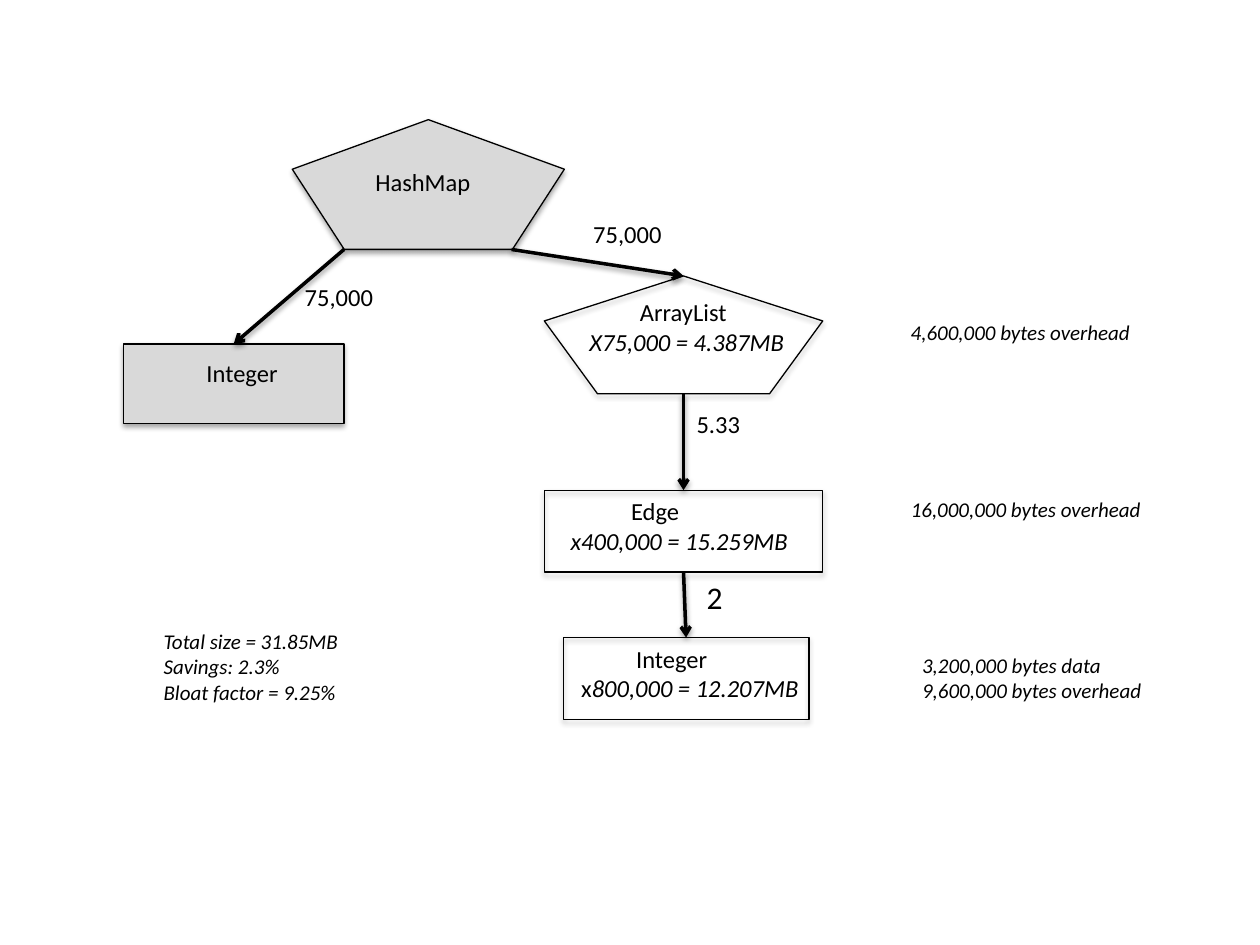
from dataclasses import dataclass

from lxml import etree
from pptx import Presentation
from pptx import util as u
from pptx.dml.color import RGBColor
from pptx.enum import shapes, text
from pptx.oxml import ns

COLUMNS, ROWS = 100, 75
PENTAGON = shapes.MSO_SHAPE.REGULAR_PENTAGON
RECTANGLE = shapes.MSO_SHAPE.RECTANGLE
TOP, BOTTOM = 0, 2


def color(value):
    """Turn a hex string into a colour."""
    return RGBColor.from_string(value)


@dataclass
class Diagram:
    """Draws boxes, arrows and labels on a grid of columns and rows."""

    presentation: object
    slide: object
    font: str = "Calibri"
    ink: str = "000000"

    def place(self, *lengths):
        """Turn alternating columns and rows into slide lengths."""
        units = (self.presentation.slide_width / COLUMNS,
                 self.presentation.slide_height / ROWS)
        return [u.Emu(round(length * units[index % 2]))
                for index, length in enumerate(lengths)]

    def shadow(self, shape, alpha, distance):
        """Give a shape a soft shadow that falls straight down."""
        properties = shape._element.spPr
        effects = etree.SubElement(properties, ns.qn("a:effectLst"))
        outer = etree.SubElement(
            effects, ns.qn("a:outerShdw"), blurRad=str(u.Pt(3.1)),
            dist=str(u.Pt(distance)), dir="5400000", rotWithShape="0")
        shade = etree.SubElement(outer, ns.qn("a:srgbClr"), val=self.ink)
        etree.SubElement(shade, ns.qn("a:alpha"), val=str(alpha * 1000))

    def box(self, kind, at, fill=None):
        """Draw an outlined shape, filled if a colour is given."""
        shape = self.slide.shapes.add_shape(kind, *self.place(*at))
        if fill:
            shape.fill.solid()
            shape.fill.fore_color.rgb = color(fill)
        else:
            shape.fill.background()
        shape.line.color.rgb = color(self.ink)
        shape.line.width = u.Pt(0.75)
        self.shadow(shape, 35, 1.8)
        return shape

    def arrow(self, start, end, source=None, target=None):
        """Draw an arrow, joined to the boxes that are given."""
        connector = self.slide.shapes.add_connector(
            shapes.MSO_CONNECTOR.STRAIGHT, *self.place(*start, *end))
        if source:
            connector.begin_connect(source, BOTTOM)
        if target:
            connector.end_connect(target, TOP)
        connector.line.color.rgb = color(self.ink)
        connector.line.width = u.Pt(2)
        outline = connector._element.spPr.find(ns.qn("a:ln"))
        etree.SubElement(outline, ns.qn("a:tailEnd"), type="arrow")
        self.shadow(connector, 38, 1.6)

    def label(self, at, *lines, size=14, italic=False, indent=0):
        """Write lines of runs, the first one indented by some columns."""
        shape = self.slide.shapes.add_textbox(*self.place(*at))
        frame = shape.text_frame
        frame.word_wrap = False
        frame.auto_size = text.MSO_AUTO_SIZE.SHAPE_TO_FIT_TEXT
        for index, runs in enumerate(lines):
            paragraph = frame.paragraphs[0] if index == 0 else frame.add_paragraph()
            if index == 0 and indent:
                margin = self.place(indent)[0]
                paragraph._p.get_or_add_pPr().set("marL", str(margin))
            for words, slanted in [(runs, italic)] if isinstance(runs, str) else runs:
                run = paragraph.add_run()
                run.text = words
                run.font.name = self.font
                run.font.size = u.Pt(size)
                run.font.italic = slanted
                run.font.color.rgb = color(self.ink)


def main():
    """Build the object graph slide."""
    presentation = Presentation()
    presentation.slide_width, presentation.slide_height = u.Inches(10), u.Inches(7.5)
    slide = presentation.slides.add_slide(presentation.slide_layouts[6])
    diagram = Diagram(presentation, slide)

    diagram.box(PENTAGON, (23.2, 9.5, 21.6, 10.3), "D9D9D9")
    array_list = diagram.box(PENTAGON, (43.2, 21.9, 22.1, 9.35))
    edge = diagram.box(RECTANGLE, (43.2, 38.9, 22.1, 6.5))
    key = diagram.box(RECTANGLE, (9.8, 27.3, 17.5, 6.3), "D9D9D9")
    number = diagram.box(RECTANGLE, (44.7, 50.6, 19.5, 6.5))

    diagram.arrow((40.6, 19.8), (54.3, 21.9), target=array_list)
    diagram.arrow((54.25, 31.25), (54.25, 38.9), target=edge)
    diagram.arrow((27.3, 19.8), (18.6, 27.3), target=key)
    diagram.arrow((54.3, 45.4), (54.5, 50.6), edge, number)

    diagram.label((28.4, 12.8, 10.4, 3.4), "HashMap", indent=0.4)
    diagram.label((15.4, 27.9, 7.8, 3.4), "Integer")
    diagram.label((45.8, 23.1, 18.1, 5.7), "ArrayList",
                  [("X75,000 = 4.387MB", True)], indent=4)
    diagram.label((44.3, 38.9, 19.9, 5.7), "Edge",
                  [("x400,000 = 15.259MB", True)], indent=4.8)
    diagram.label((44.7, 50.6, 20.2, 5.7), "Integer",
                  [(" x", False), ("800,000 = 12.207MB", True)], indent=4.8)

    for left, top, width, count in ((23.2, 21.9, 7.5, "75,000"),
                                    (46.1, 16.9, 7.5, "75,000"),
                                    (54.3, 32, 5.5, "5.33")):
        diagram.label((left, top, width, 3.4), count)
    diagram.label((55.1, 45.4, 3.2, 4), "2", size=18)

    for at, lines in (
        ((71.3, 24.9, 20, 3), ["4,600,000 bytes overhead"]),
        ((71.3, 38.9, 20.8, 3), ["16,000,000 bytes overhead"]),
        ((72.2, 51.3, 20, 5), ["3,200,000 bytes data", "9,600,000 bytes overhead"]),
        ((12, 49.4, 16.4, 7.1),
         ["Total size = 31.85MB", "Savings: 2.3%", "Bloat factor = 9.25%"]),
    ):
        diagram.label(at, *lines, size=12, italic=True)

    presentation.save("out.pptx")


if __name__ == "__main__":
    main()
